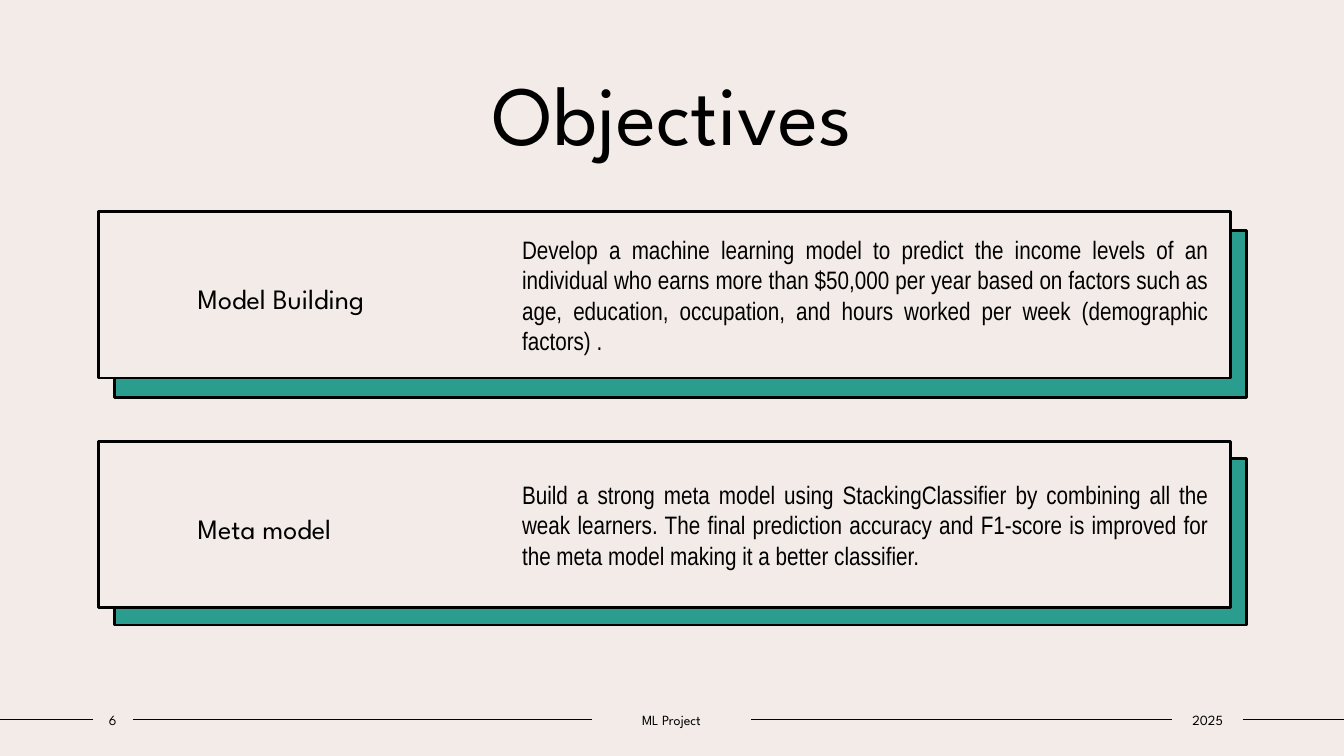
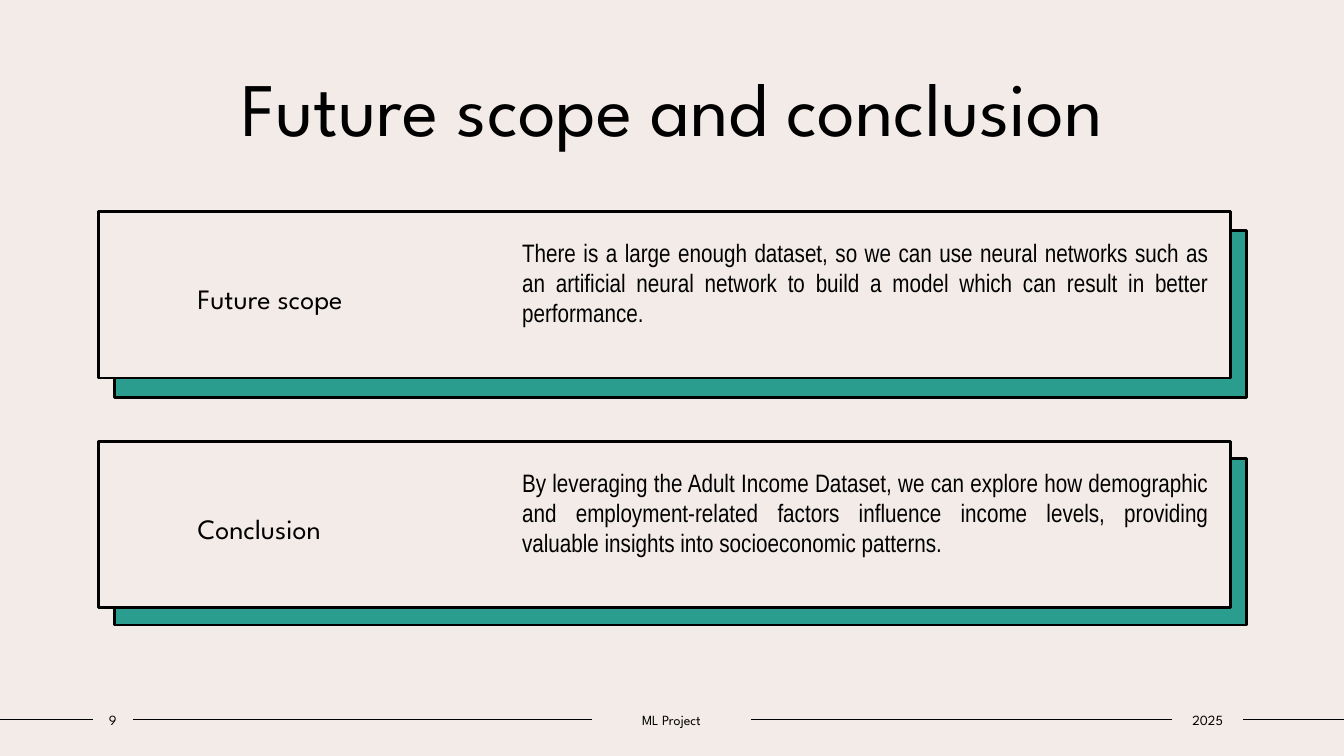
from pptx import Presentation
from pptx.dml.color import RGBColor
from pptx.enum.shapes import MSO_CONNECTOR, MSO_SHAPE
from pptx.enum.text import MSO_ANCHOR, PP_ALIGN
from pptx.oxml.ns import qn
from pptx.util import Pt
from lxml import etree


def color(hex_value):
    return RGBColor.from_string(hex_value)


class Deck:
    WIDTH, HEIGHT = 960, 540
    INK, PAPER, ACCENT = "000000", "F3EBE8", "2A9D8F"
    HEADING_FONT, BODY_FONT = "League Spartan", "Arial Narrow"
    CARD_LEFT, CARD_WIDTH, CARD_HEIGHT = 70.6, 808.6, 118.8
    BODY_LEFT, BODY_WIDTH, BODY_GAP = 365.8, 504.7, 7.2
    SHADE_SHIFT = 11.5
    FOOTER_TOP, FOOTER_HEIGHT = 504.5, 19

    def __init__(self):
        self.presentation = Presentation()
        self.presentation.slide_width = Pt(self.WIDTH)
        self.presentation.slide_height = Pt(self.HEIGHT)
        self.slide = None

    def new_slide(self, title, title_size, number):
        self.slide = self.presentation.slides.add_slide(self.presentation.slide_layouts[6])
        background = self.slide.background.fill
        background.solid()
        background.fore_color.rgb = color(self.PAPER)
        self.text(title, (90, 40.3, 780.5, 80), title_size, self.HEADING_FONT,
                  PP_ALIGN.CENTER, MSO_ANCHOR.TOP)
        self.footer(number)

    def set_words(self, shape, words, size, font, align, anchor=MSO_ANCHOR.MIDDLE,
                  insets=(7.2, 3.6, 7.2, 3.6), spacing=None):
        frame = shape.text_frame
        frame.word_wrap = True
        frame.vertical_anchor = anchor
        (frame.margin_left, frame.margin_top,
         frame.margin_right, frame.margin_bottom) = map(Pt, insets)
        paragraph = frame.paragraphs[0]
        paragraph.alignment = align
        paragraph.line_spacing = spacing
        run = paragraph.add_run()
        run.text = words
        run.font.size = Pt(size)
        run.font.name = font
        run.font.color.rgb = color(self.INK)

    def text(self, words, box, size, font, align, anchor=MSO_ANCHOR.MIDDLE,
             insets=(7.2, 3.6, 7.2, 3.6)):
        shape = self.slide.shapes.add_textbox(*map(Pt, box))
        self.set_words(shape, words, size, font, align, anchor, insets)
        return shape

    def panel(self, left, top, fill):
        shape = self.slide.shapes.add_shape(
            MSO_SHAPE.RECTANGLE, Pt(left), Pt(top), Pt(self.CARD_WIDTH), Pt(self.CARD_HEIGHT))
        shape.shadow.inherit = False
        shape.fill.solid()
        shape.fill.fore_color.rgb = color(fill)
        shape.line.color.rgb = color(self.INK)
        shape.line.width = Pt(2)
        return shape

    def card(self, top, shade_drop, label, body, body_bottom):
        self.panel(self.CARD_LEFT + self.SHADE_SHIFT, top + shade_drop, self.ACCENT)
        front = self.panel(self.CARD_LEFT, top, self.PAPER)
        self.set_words(front, label, 20, self.HEADING_FONT, PP_ALIGN.LEFT,
                       insets=(70.6, 3.6, 511.2, 3.6), spacing=1.2)
        box = (self.BODY_LEFT, top + self.BODY_GAP,
               self.BODY_WIDTH, self.CARD_HEIGHT - 2 * self.BODY_GAP)
        self.text(body, box, 18, self.BODY_FONT, PP_ALIGN.JUSTIFY,
                  insets=(7.2, 3.6, 7.2, body_bottom))

    def rule(self, start, end, before, after):
        middle = Pt(self.FOOTER_TOP + self.FOOTER_HEIGHT / 2)
        line = self.slide.shapes.add_connector(
            MSO_CONNECTOR.STRAIGHT, Pt(start), middle, Pt(end), middle)
        line.line.color.rgb = color(self.INK)
        line.line.width = Pt(1)
        etree.SubElement(line._element.spPr, qn("a:effectLst"))
        if before is not None:
            line.begin_connect(before, 3)
        if after is not None:
            line.end_connect(after, 1)

    def footer(self, number):
        start, before = 0, None
        for words, left, width in ((number, 66.2, 28.8), ("ML Project", 422.6, 114),
                                   ("2025", 837.4, 50.4)):
            label = self.text(words, (left, self.FOOTER_TOP, width, self.FOOTER_HEIGHT), 10,
                              self.HEADING_FONT, PP_ALIGN.CENTER, insets=(0, 3.6, 0, 3.6))
            self.rule(start, left, before, label)
            start, before = left + width, label
        self.rule(start, self.WIDTH, before, None)


CARD_ROWS = ((151.2, 13.7), (315.4, 12.2))

SLIDES = (
    ("Objectives", 60, "6", 3.6, (
        ("Model Building",
         "Develop a machine learning model to predict the income levels of an individual who "
         "earns more than $50,000 per year based on factors such as age, education, occupation, "
         "and hours worked per week (demographic factors) ."),
        ("Meta model",
         "Build a strong meta model using StackingClassifier by combining all the weak learners. "
         "The final prediction accuracy and F1-score is improved for the meta model making it a "
         "better classifier."),
    )),
    ("Future scope and conclusion", 54, "9", 21, (
        ("Future scope",
         "There is a large enough dataset, so we can use neural networks such as an artificial "
         "neural network to build a model which can result in better performance."),
        ("Conclusion",
         "By leveraging the Adult Income Dataset, we can explore how demographic and "
         "employment-related factors influence income levels, providing valuable insights into "
         "socioeconomic patterns."),
    )),
)


def main():
    deck = Deck()
    for title, title_size, number, body_bottom, cards in SLIDES:
        deck.new_slide(title, title_size, number)
        for (top, shade_drop), (label, body) in zip(CARD_ROWS, cards):
            deck.card(top, shade_drop, label, body, body_bottom)
    deck.presentation.save("out.pptx")


if __name__ == "__main__":
    main()
